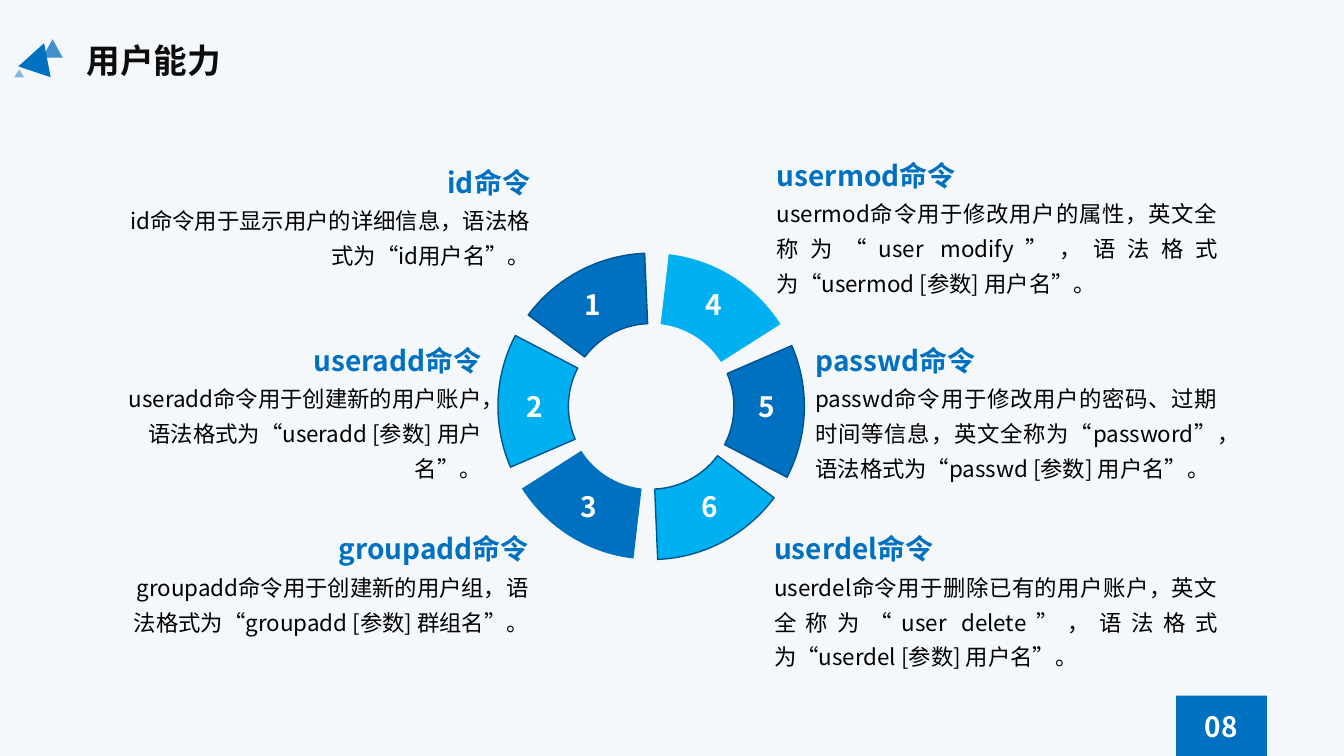
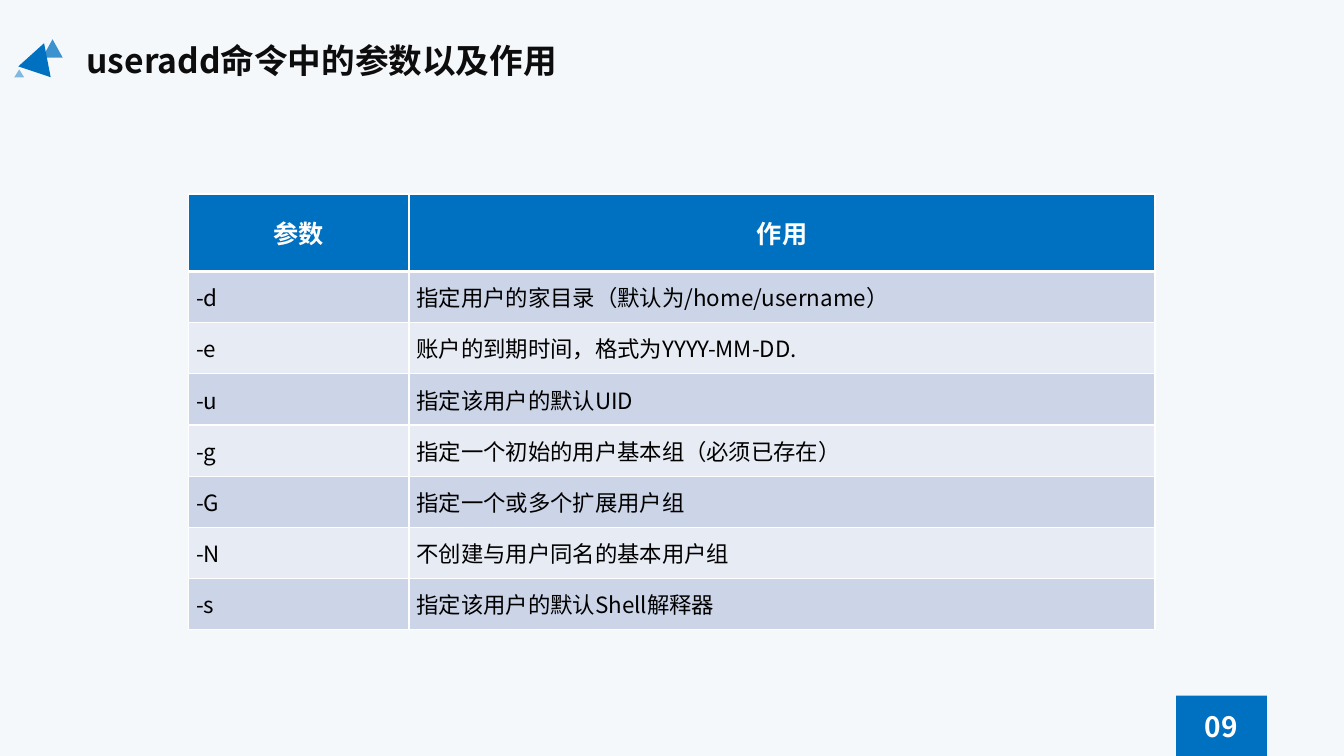
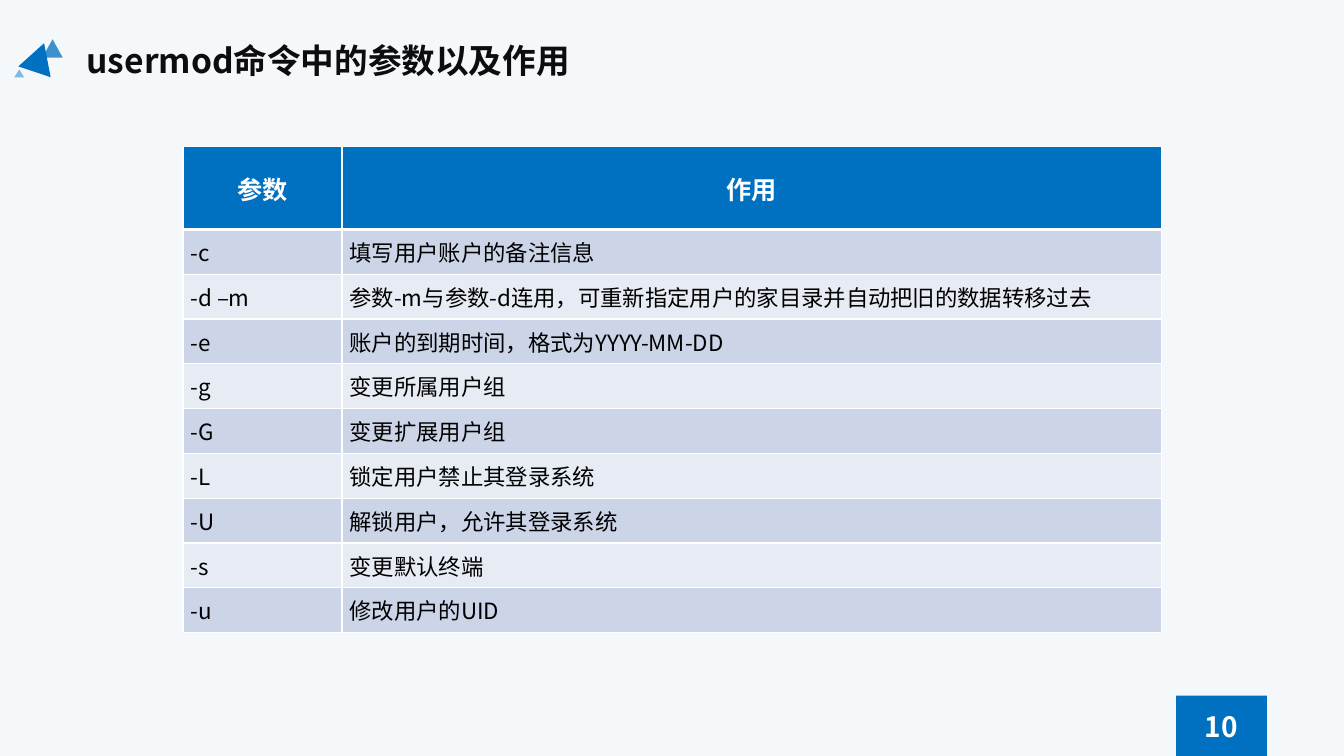
"""Build three slides on user management commands and their options."""
from lxml import etree
from pptx import Presentation
from pptx.dml.color import RGBColor
from pptx.enum import shapes, text
from pptx.oxml.ns import qn
from pptx.util import Cm, Pt

FONT = "Noto Sans CJK SC"
BLUE = RGBColor(0x00, 0x70, 0xC0)
SKY = RGBColor(0x00, 0xB0, 0xF0)
OUTLINE = RGBColor(0x00, 0x53, 0x8E)
BACKGROUND = RGBColor(0xF5, 0xF8, 0xFB)
TITLE = RGBColor(0x0D, 0x0D, 0x0D)
BLACK = RGBColor(0x00, 0x00, 0x00)
WHITE = RGBColor(0xFF, 0xFF, 0xFF)
ROW_DARK = RGBColor(0xCC, 0xD5, 0xE8)
ROW_LIGHT = RGBColor(0xE7, 0xEB, 0xF4)
LEFT, CENTER = text.PP_ALIGN.LEFT, text.PP_ALIGN.CENTER
RIGHT, JUSTIFY = text.PP_ALIGN.RIGHT, text.PP_ALIGN.JUSTIFY

TEXT_LEFT, TEXT_RIGHT = 2.95, 30.94
LOGO_TRIANGLES = [
    (1.07, 0.99, 0.51, 0.46, 0, 75),
    (0.56, 1.07, 0.86, 0.76, 18.5, 100),
    (0.36, 1.75, 0.25, 0.2, 0, 47),
]
RING_SEGMENTS = [
    (336.6, SKY, True),
    (36.6, BLUE, True),
    (96.6, SKY, False),
    (156.6, BLUE, True),
    (216.6, SKY, True),
    (276.6, BLUE, False),
]
RING_NUMBERS = [
    (14.15, 7.11), (12.67, 9.68), (14.05, 12.22),
    (17.2, 7.11), (18.52, 9.68), (17.09, 12.22),
]
LEFT_COMMANDS = [
    (13.36, 4.04, 2, "id命令", "id命令用于显示用户的详细信息，语法格式为“id用户名”。"),
    (12.14, 8.53, 3, "useradd命令",
     "useradd命令用于创建新的用户账户，语法格式为“useradd [参数] 用户名”。"),
    (13.33, 13.28, 2, "groupadd命令",
     "groupadd命令用于创建新的用户组，语法格式为“groupadd [参数] 群组名”。"),
]
RIGHT_COMMANDS = [
    (19.58, 3.86, 3, "usermod命令",
     "usermod命令用于修改用户的属性，英文全称为“user modify”，语法格式为“usermod [参数] 用户名”。"),
    (20.55, 8.53, 3, "passwd命令",
     "passwd命令用于修改用户的密码、过期时间等信息，英文全称为“password”，语法格式为“passwd [参数] 用户名”。"),
    (19.51, 13.28, 3, "userdel命令",
     "userdel命令用于删除已有的用户账户，英文全称为“user delete”，语法格式为“userdel [参数] 用户名”。"),
]
USERADD_OPTIONS = [
    ("-d", "指定用户的家目录（默认为/home/username）"),
    ("-e", "账户的到期时间，格式为YYYY-MM-DD."),
    ("-u", "指定该用户的默认UID"),
    ("-g", "指定一个初始的用户基本组（必须已存在）"),
    ("-G", "指定一个或多个扩展用户组"),
    ("-N", "不创建与用户同名的基本用户组"),
    ("-s", "指定该用户的默认Shell解释器"),
]
USERMOD_OPTIONS = [
    ("-c", "填写用户账户的备注信息"),
    ("-d –m", "参数-m与参数-d连用，可重新指定用户的家目录并自动把旧的数据转移过去"),
    ("-e", "账户的到期时间，格式为YYYY-MM-DD"),
    ("-g", "变更所属用户组"),
    ("-G", "变更扩展用户组"),
    ("-L", "锁定用户禁止其登录系统"),
    ("-U", "解锁用户，允许其登录系统"),
    ("-s", "变更默认终端"),
    ("-u", "修改用户的UID"),
]


def write(frame, content, size, color, bold=False, align=LEFT, spacing=None):
    """Fill a text frame with one styled paragraph."""
    paragraph = frame.paragraphs[0]
    paragraph.text = content
    paragraph.alignment = align
    if spacing:
        paragraph.line_spacing = spacing
    font = paragraph.font
    font.name, font.size, font.bold = FONT, Pt(size), bold
    font.color.rgb = color
    properties = paragraph._p.pPr.find(qn("a:defRPr"))
    etree.SubElement(properties, qn("a:ea"), typeface=FONT)


def add_text(slide, box, content, size, color, insets=(0.25, 0.25), **style):
    """Add a wrapped text box at box, with left and right insets."""
    frame = slide.shapes.add_textbox(*map(Cm, box)).text_frame
    frame.word_wrap = True
    frame.auto_size = text.MSO_AUTO_SIZE.SHAPE_TO_FIT_TEXT
    frame.margin_left, frame.margin_right = map(Cm, insets)
    write(frame, content, size, color, **style)


def add_shape(slide, kind, box, fill, rotation=0, opacity=100, line=None):
    """Add a flat preset shape."""
    shape = slide.shapes.add_shape(kind, *map(Cm, box))
    shape.shadow.inherit = False
    shape.rotation = rotation
    shape.fill.solid()
    shape.fill.fore_color.rgb = fill
    if opacity < 100:
        color = shape._element.spPr.find(".//" + qn("a:srgbClr"))
        etree.SubElement(color, qn("a:alpha"), val=str(opacity * 1000))
    if line is None:
        shape.line.fill.background()
    else:
        shape.line.color.rgb = line
        shape.line.width = Pt(1)
    return shape


def add_slide(presentation, title, number):
    """Add a slide with the shared background, title, mark and page number."""
    slide = presentation.slides.add_slide(presentation.slide_layouts[6])
    slide.background.fill.solid()
    slide.background.fill.fore_color.rgb = BACKGROUND
    add_text(slide, (1.93, 0.89, 12.9, 1.27), title, 24, TITLE, bold=True)
    for *box, rotation, opacity in LOGO_TRIANGLES:
        add_shape(slide, shapes.MSO_SHAPE.ISOSCELES_TRIANGLE, box, BLUE, rotation, opacity)
    badge = add_shape(slide, shapes.MSO_SHAPE.RECTANGLE, (29.64, 17.53, 2.29, 1.52), BLUE)
    badge.text_frame.vertical_anchor = text.MSO_ANCHOR.MIDDLE
    write(badge.text_frame, number, 20, WHITE, bold=True, align=CENTER)
    return slide


def add_ring(slide):
    """Draw the numbered ring of six segments."""
    for rotation, fill, outlined in RING_SEGMENTS:
        arc = add_shape(slide, shapes.MSO_SHAPE.BLOCK_ARC, (12.55, 6.38, 7.72, 7.72),
                        fill, rotation, line=OUTLINE if outlined else None)
        for index, value in enumerate((108, 138.57, 0.23)):
            arc.adjustments[index] = value
    for number, (left, top) in enumerate(RING_NUMBERS, 1):
        add_text(slide, (left, top, 1.6, 1.12), str(number), 20, WHITE,
                 insets=(0, 0), bold=True, align=CENTER)


def add_command(slide, left, right, top, lines, name, description, insets, aligns):
    """Add a command heading with its description below."""
    width = right - left
    add_text(slide, (left, top, width, 1.12), name, 20, BLUE,
             insets=insets, bold=True, align=aligns[0])
    add_text(slide, (left, top + 0.85, width, 0.2 + 0.88 * lines), description, 16, BLACK,
             insets=insets, align=aligns[1], spacing=1.3)


def add_borders(cell, top, bottom):
    """Give a cell white borders, with top and bottom widths in points."""
    properties = cell._tc.get_or_add_tcPr()
    for side, width in (("L", 1), ("R", 1), ("T", top), ("B", bottom)):
        line = etree.SubElement(properties, qn("a:ln" + side), w=str(Pt(width)))
        fill = etree.SubElement(line, qn("a:solidFill"))
        etree.SubElement(fill, qn("a:srgbClr"), val=str(WHITE))


def add_options(slide, options, left, top, widths, header_height, row_height):
    """Add a table of options with a blue header and banded rows."""
    rows = [("参数", "作用"), *options]
    heights = [header_height] + [row_height] * len(options)
    table = slide.shapes.add_table(len(rows), 2, Cm(left), Cm(top),
                                   Cm(sum(widths)), Cm(sum(heights))).table
    for column, width in zip(table.columns, widths):
        column.width = Cm(width)
    for index, (row, height) in enumerate(zip(rows, heights)):
        table.rows[index].height = Cm(height)
        header = index == 0
        fill = BLUE if header else ROW_DARK if index % 2 else ROW_LIGHT
        for cell, content in zip(table.rows[index].cells, row):
            add_borders(cell, 3 if index == 1 else 1, 3 if header else 1)
            cell.fill.solid()
            cell.fill.fore_color.rgb = fill
            cell.vertical_anchor = text.MSO_ANCHOR.MIDDLE
            cell.margin_left = cell.margin_right = Cm(0.19)
            cell.margin_top = cell.margin_bottom = 0
            if header:
                write(cell.text_frame, content, 18, WHITE, bold=True, align=CENTER)
            else:
                write(cell.text_frame, content, 16, BLACK, align=JUSTIFY)


def main():
    """Build and save the presentation."""
    presentation = Presentation()
    presentation.slide_width, presentation.slide_height = Cm(33.87), Cm(19.05)

    slide = add_slide(presentation, "用户能力", "08")
    add_ring(slide)
    for edge, *command in LEFT_COMMANDS:
        add_command(slide, TEXT_LEFT, edge, *command, (0, 0), (RIGHT, RIGHT))
    for edge, *command in RIGHT_COMMANDS:
        add_command(slide, edge, TEXT_RIGHT, *command, (0, 0.25), (LEFT, JUSTIFY))

    slide = add_slide(presentation, "useradd命令中的参数以及作用", "09")
    add_options(slide, USERADD_OPTIONS, 4.75, 4.89, (5.56, 18.8), 1.95, 1.29)

    slide = add_slide(presentation, "usermod命令中的参数以及作用", "10")
    add_options(slide, USERMOD_OPTIONS, 4.61, 3.7, (4.01, 20.65), 2.08, 1.13)

    presentation.save("out.pptx")


if __name__ == "__main__":
    main()
